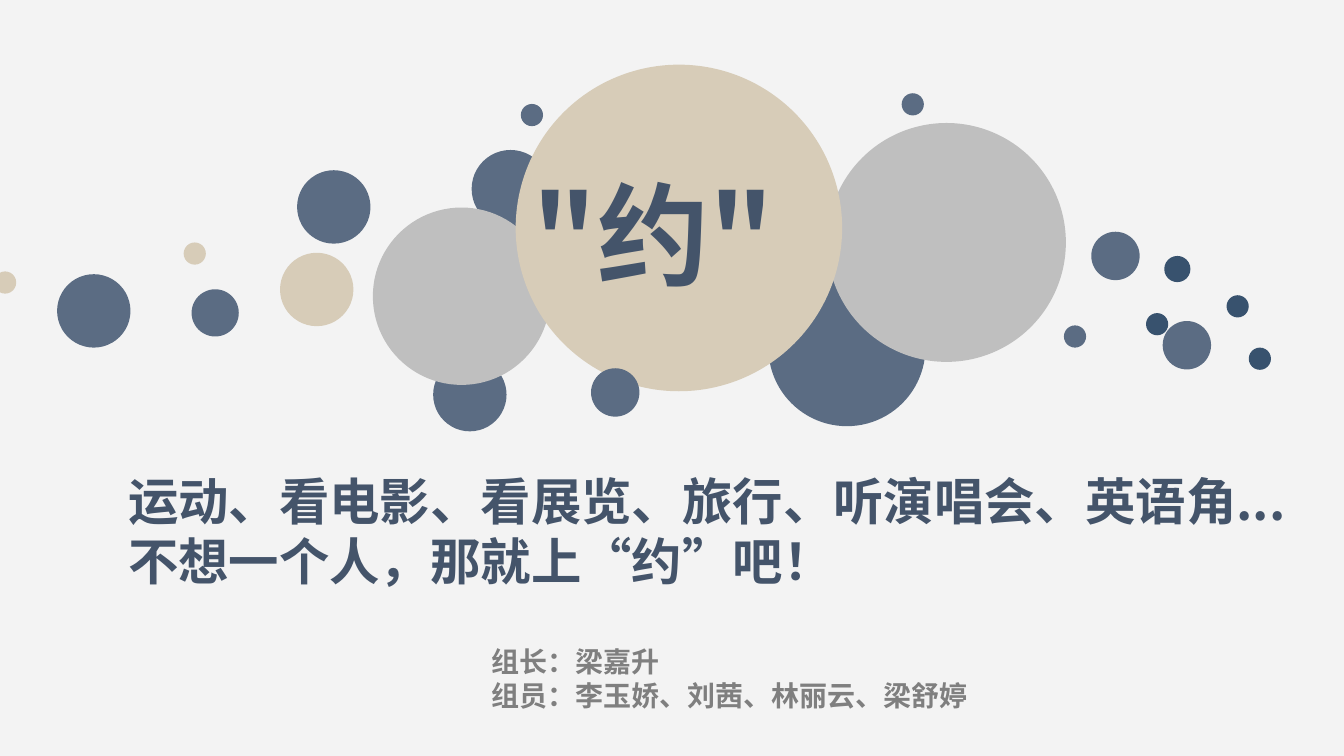
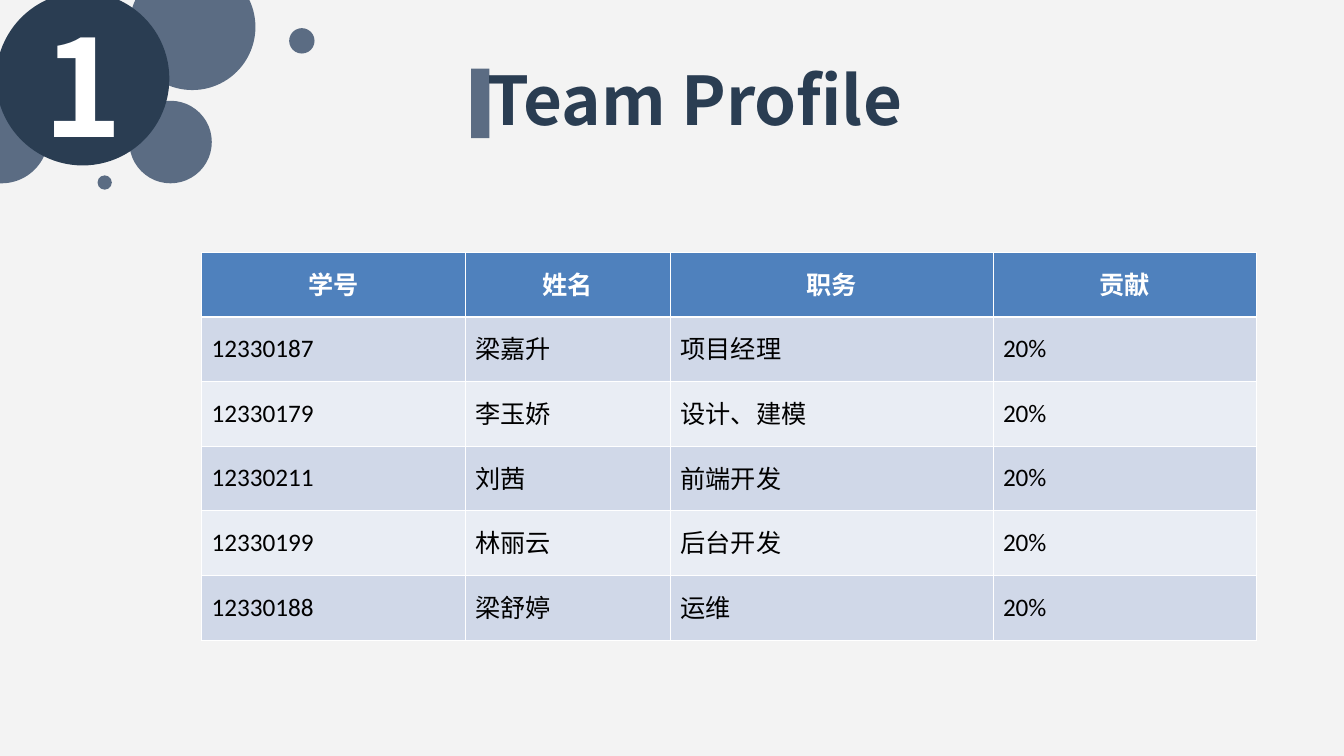
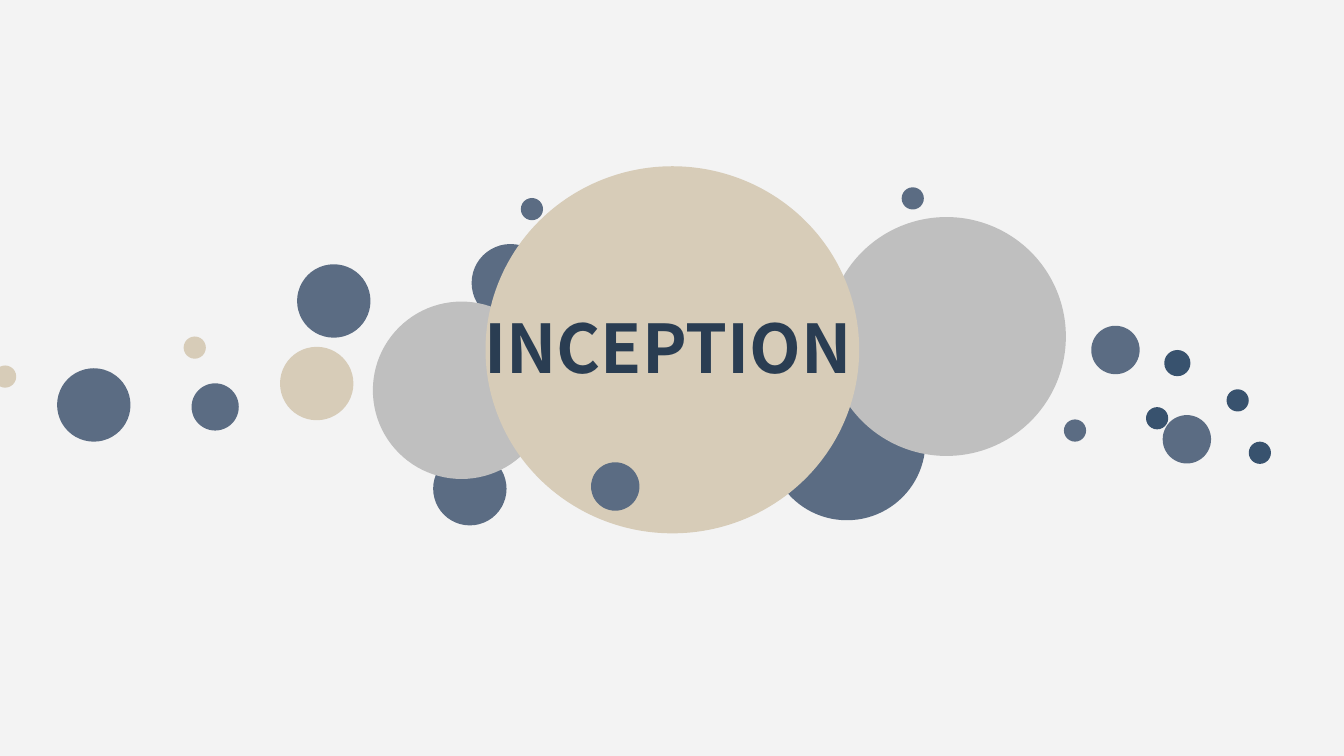
import pptx
import pptx.dml.color
import pptx.enum.shapes
import pptx.enum.text
import pptx.oxml.ns
import pptx.util
from lxml import etree

Cm = pptx.util.Cm
Pt = pptx.util.Pt
OVAL = pptx.enum.shapes.MSO_SHAPE.OVAL
RECTANGLE = pptx.enum.shapes.MSO_SHAPE.RECTANGLE

# Shared look
BACKGROUND = "F3F3F3"
SLATE, NAVY, TEAL = "5B6C83", "2A3D52", "38526E"
SAND, SILVER, GREY = "D7CCB8", "BFBFBF", "7F7F7F"
HEADING, WHITE, BLACK = "44546A", "FFFFFF", "000000"
HEADER_FILL, BAND_FILLS = "4F81BD", ("D0D8E8", "E9EDF4")
CJK_FONT = "Noto Sans CJK SC"
rgb = pptx.dml.color.RGBColor.from_string


def add_filled_shape(shapes, kind, left, top, width, height, color):
    shape = shapes.add_shape(kind, Cm(left), Cm(top), Cm(width), Cm(height))
    shape.shadow.inherit = False
    shape.fill.solid()
    shape.fill.fore_color.rgb = rgb(color)
    shape.line.fill.background()


def write_text(frame, lines, size, color, font=CJK_FONT, bold=True):
    for index, line in enumerate(lines):
        paragraph = frame.add_paragraph() if index else frame.paragraphs[0]
        run = paragraph.add_run()
        run.text = line
        run.font.name = font
        run.font.size = Pt(size)
        run.font.bold = bold
        run.font.color.rgb = rgb(color)
        properties = run.font._element
        properties.set("lang", "zh-CN")
        east_asian = etree.SubElement(properties, pptx.oxml.ns.qn("a:ea"))
        east_asian.set("typeface", CJK_FONT)


presentation = pptx.Presentation()
presentation.slide_width = Cm(33.88)
presentation.slide_height = Cm(19.05)
slides = []
for number in range(3):
    slide = presentation.slides.add_slide(presentation.slide_layouts[6])
    slide.background.fill.solid()
    slide.background.fill.fore_color.rgb = rgb(BACKGROUND)
    slides.append(slide)
cover, team, section = slides

# Bubbles on the cover and the section slide: left, top, diameter, colour
back_bubbles = [
    (11.89, 3.78, 1.96, SLATE), (10.92, 9.02, 1.85, SLATE),
    (19.37, 6.78, 3.96, SLATE), (20.85, 3.1, 6.02, SILVER),
    (9.4, 5.23, 4.47, SILVER), (4.83, 7.29, 1.19, SLATE),
    (29.35, 6.45, 0.66, TEAL), (27.51, 5.84, 1.22, SLATE),
    (7.06, 6.37, 1.85, SAND), (26.82, 8.2, 0.56, SLATE),
]
front_bubbles = [
    (7.49, 4.29, 1.85, SLATE), (28.89, 7.89, 0.56, TEAL),
    (31.48, 8.76, 0.56, TEAL), (30.92, 7.44, 0.56, TEAL),
    (4.63, 6.11, 0.56, SAND), (22.73, 2.35, 0.56, SLATE),
    (13.13, 2.62, 0.56, SLATE), (29.31, 8.09, 1.22, SLATE),
    (1.44, 6.91, 1.85, SLATE), (14.9, 9.28, 1.22, SLATE),
    (-0.15, 6.84, 0.56, SAND),
]
bubble_slides = [
    (cover, 0, (13, 1.63, 8.23, 8.23)),
    (section, 2.37, (12.24, 4.19, 9.42, 9.25)),
]
for slide, drop, main_bubble in bubble_slides:
    for left, top, size, color in back_bubbles:
        add_filled_shape(slide.shapes, OVAL, left, top + drop, size, size, color)
    add_filled_shape(slide.shapes, OVAL, *main_bubble, SAND)
    for left, top, size, color in front_bubbles:
        add_filled_shape(slide.shapes, OVAL, left, top + drop, size, size, color)

# Title bar and numbered corner on the team slide
add_filled_shape(team.shapes, RECTANGLE, 11.88, 1.73, 0.46, 1.75, SLATE)
corner = team.shapes.add_group_shape()
corner_bubbles = [
    (3.26, 2.54, 2.08, SLATE), (3.26, -0.91, 3.18, SLATE),
    (-1.14, 2.26, 2.36, SLATE), (2.46, 4.42, 0.36, SLATE),
    (7.29, 0.71, 0.64, SLATE), (-0.1, -0.2, 4.37, NAVY),
]
for left, top, size, color in corner_bubbles:
    add_filled_shape(corner.shapes, OVAL, left, top, size, size, color)

# Free text, each box a little wider than its longest line:
# container, left, top, width, height, lines, size, colour
labels = [
    (cover.shapes, 12.14, 16.12, 13, 1.96,
     ["组长：梁嘉升", "组员：李玉娇、刘茜、林丽云、梁舒婷"], 20, GREY),
    (cover.shapes, 2.98, 11.71, 30.6, 3.3,
     ["运动、看电影、看展览、旅行、听演唱会、英语角...",
      "不想一个人，那就上“约”吧！"], 36, HEADING),
    (cover.shapes, 13.18, 4.05, 8.5, 3.66, ['"约"'], 80, HEADING),
    (team.shapes, 12.04, 1.35, 11.8, 2.29, ["Team Profile"], 48, NAVY),
    (corner.shapes, 0.84, -0.05, 3, 4.32, ["1"], 96, WHITE),
    (section.shapes, 11.96, 7.59, 10.6, 2.29, ["INCEPTION"], 48, NAVY),
]
for shapes, left, top, width, height, lines, size, color in labels:
    text_box = shapes.add_textbox(Cm(left), Cm(top), Cm(width), Cm(height))
    text_box.text_frame.word_wrap = True
    write_text(text_box.text_frame, lines, size, color)

# Team table
members = [
    ("学号", "姓名", "职务", "贡献"),
    ("12330187", "梁嘉升", "项目经理", "20%"),
    ("12330179", "李玉娇", "设计、建模", "20%"),
    ("12330211", "刘茜", "前端开发", "20%"),
    ("12330199", "林丽云", "后台开发", "20%"),
    ("12330188", "梁舒婷", "运维", "20%"),
]
column_widths = [6.65, 5.17, 8.13, 6.64]
row_height = 1.63
table = team.shapes.add_table(
    len(members), len(column_widths), Cm(5.08), Cm(6.35),
    Cm(sum(column_widths)), Cm(row_height * len(members))).table
for column, width in zip(table.columns, column_widths):
    column.width = Cm(width)
for row_index, member in enumerate(members):
    table.rows[row_index].height = Cm(row_height)
    is_header = row_index == 0
    for column_index, value in enumerate(member):
        cell = table.cell(row_index, column_index)
        cell.vertical_anchor = pptx.enum.text.MSO_ANCHOR.MIDDLE
        write_text(cell.text_frame, [value], 18,
                   WHITE if is_header else BLACK, "Calibri", is_header)
        paragraph = cell.text_frame.paragraphs[0]
        paragraph.line_spacing = 0.9
        paragraph.space_before = Pt(10)
        if is_header:
            paragraph.alignment = pptx.enum.text.PP_ALIGN.CENTER
        # White borders, heavier between header and body
        cell_properties = cell._tc.get_or_add_tcPr()
        for side in "LRTB":
            heavy = (row_index, side) in ((0, "B"), (1, "T"))
            border = etree.SubElement(cell_properties, pptx.oxml.ns.qn("a:ln" + side))
            border.set("w", str(Pt(1.47 if heavy else 0.45)))
            border_fill = etree.SubElement(border, pptx.oxml.ns.qn("a:solidFill"))
            etree.SubElement(border_fill, pptx.oxml.ns.qn("a:srgbClr")).set("val", WHITE)
        cell.fill.solid()
        cell.fill.fore_color.rgb = rgb(
            HEADER_FILL if is_header else BAND_FILLS[(row_index - 1) % 2])

presentation.save("out.pptx")
